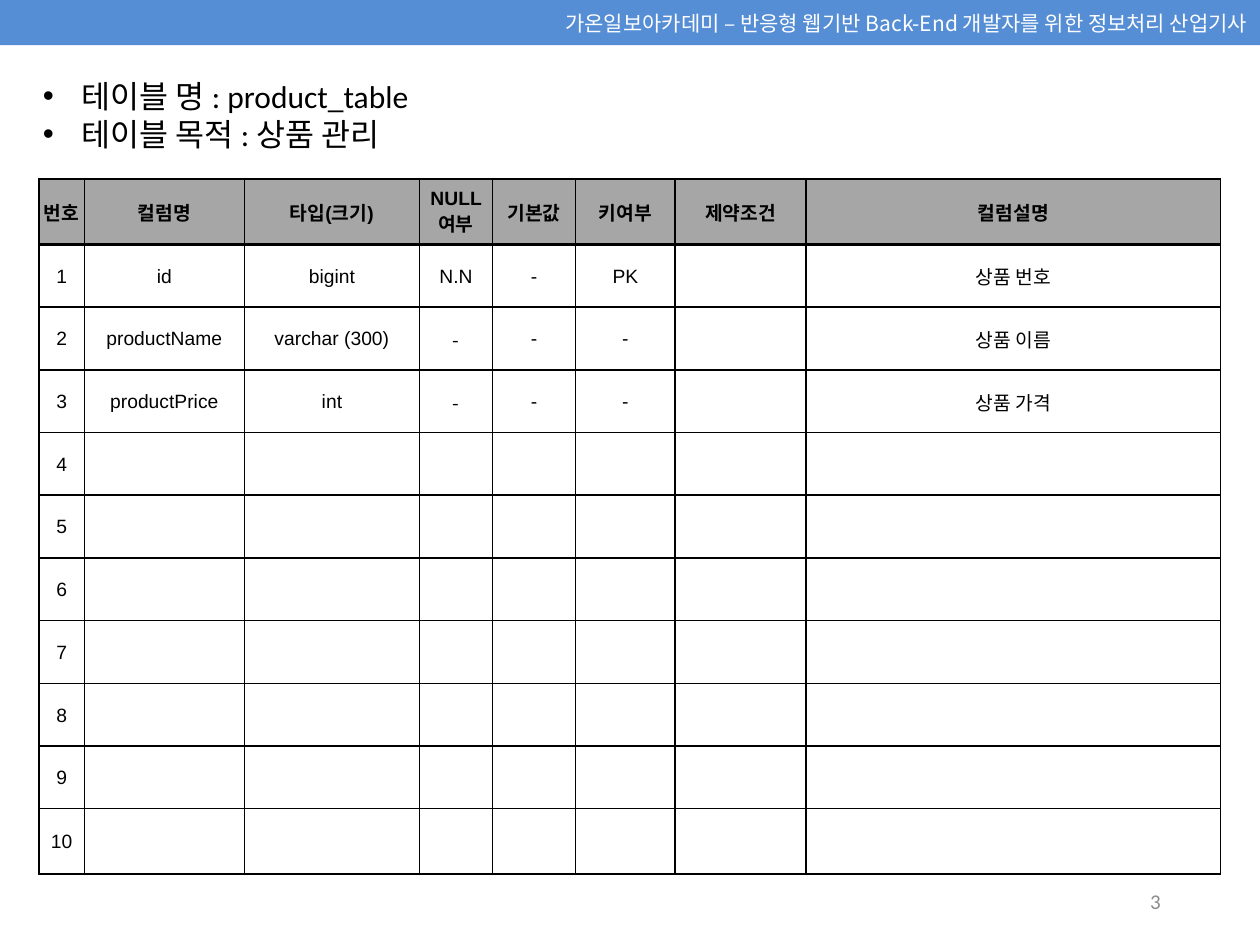
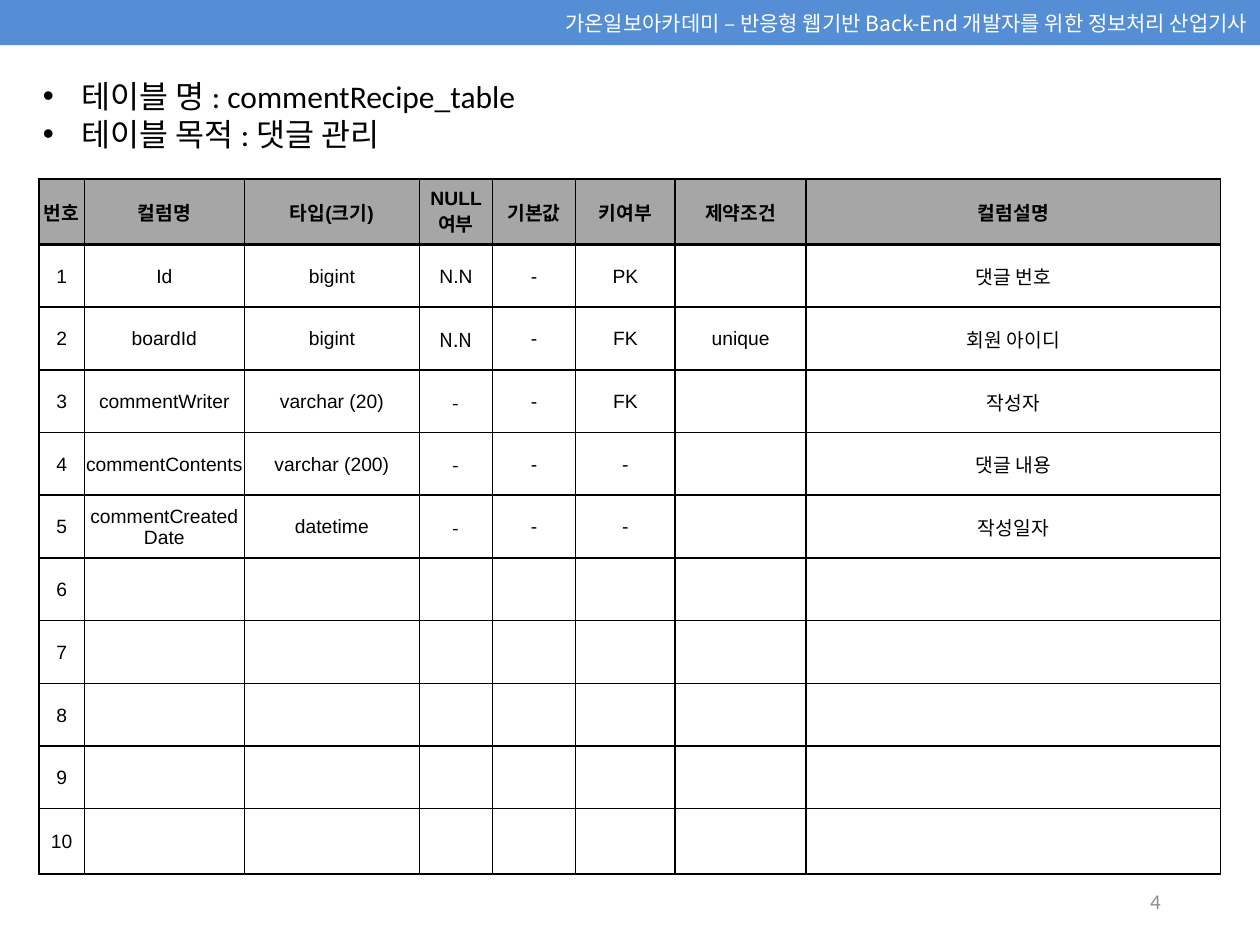
from dataclasses import dataclass

from lxml.etree import SubElement
from pptx import Presentation
from pptx.dml.color import RGBColor
from pptx.enum.shapes import MSO_SHAPE as Shape
from pptx.enum.text import MSO_ANCHOR as Anchor, PP_ALIGN as Align
from pptx.oxml.ns import qn
from pptx.util import Inches, Pt


@dataclass(frozen=True)
class Theme:
    band: str = "558ED5"
    header: str = "A6A6A6"
    ink: str = "000000"
    white: str = "FFFFFF"
    muted: str = "8C8C8C"
    latin: str = "Calibri"
    table: str = "Arial"
    korean: str = "Noto Sans CJK KR"
    list_size: int = 18
    small_size: int = 12
    table_size: int = 11


theme = Theme()


def write(paragraph, text, font, size, color, align=Align.LEFT, bold=False):
    """Put one formatted run in a paragraph, with the Korean font for Hangul."""
    paragraph.alignment = align
    run = paragraph.add_run()
    run.text = text
    for name, value in {"name": font, "size": Pt(size), "bold": bold}.items():
        setattr(run.font, name, value)
    run.font.color.rgb = RGBColor.from_string(color)
    SubElement(run.font._element, qn("a:ea"), typeface=theme.korean)


def add_borders(cell, bottom_width):
    """Draw the four solid edges of a table cell."""
    properties = cell._tc.get_or_add_tcPr()
    for edge, width in {"lnL": 1, "lnR": 1, "lnT": 1, "lnB": bottom_width}.items():
        line = SubElement(properties, qn(f"a:{edge}"), w=str(Pt(width)))
        fill = SubElement(line, qn("a:solidFill"))
        SubElement(fill, qn("a:srgbClr"), val=theme.ink)


# Table definitions, one per slide
headings = ["번호", "컬럼명", "타입(크기)", "NULL 여부", "기본값", "키여부", "제약조건", "컬럼설명"]
column_widths = [0.36, 1.27, 1.39, 0.58, 0.66, 0.79, 1.04, 3.29]
null_column = headings.index("NULL 여부")
row_count = 10
table_height, end_row_height = 5.52, 0.52
row_height = (table_height - 2 * end_row_height) / (row_count - 1)

definitions = [
    ("product_table", "상품 관리", [
        ["id", "bigint", "N.N", "-", "PK", "", "상품 번호"],
        ["productName", "varchar (300)", "-", "-", "-", "", "상품 이름"],
        ["productPrice", "int", "-", "-", "-", "", "상품 가격"],
    ]),
    ("commentRecipe_table", "댓글 관리", [
        ["Id", "bigint", "N.N", "-", "PK", "", "댓글 번호"],
        ["boardId", "bigint", "N.N", "-", "FK", "unique", "회원 아이디"],
        ["commentWriter", "varchar (20)", "-", "-", "FK", "", "작성자"],
        ["commentContents", "varchar (200)", "-", "-", "-", "", "댓글 내용"],
        ["commentCreatedDate", "datetime", "-", "-", "-", "", "작성일자"],
    ]),
]

presentation = Presentation()
presentation.slide_width, presentation.slide_height = Inches(10), Inches(7.5)
layout = presentation.slide_layouts.get_by_name("Title and Content")

for number, (table_name, purpose, fields) in enumerate(definitions, start=3):
    slide = presentation.slides.add_slide(layout)
    title = slide.shapes.title.element
    title.getparent().remove(title)

    # Course band, made once and kept on the shared layout
    if number == 3:
        band = slide.shapes.add_shape(Shape.RECTANGLE, 0, 0, Inches(10), Inches(0.36))
        band.shadow.inherit = False
        band.fill.solid()
        band.fill.fore_color.rgb = RGBColor.from_string(theme.band)
        band.line.fill.background()
        band.text_frame.vertical_anchor = Anchor.MIDDLE
        write(band.text_frame.paragraphs[0],
              "가온일보아카데미 – 반응형 웹기반 Back-End 개발자를 위한 정보처리 산업기사",
              theme.korean, theme.small_size, theme.white, Align.RIGHT)
        layout.shapes.element.append(band.element)

    # Slide number
    number_box = slide.shapes.add_textbox(Inches(7.06), Inches(6.95), Inches(2.25), Inches(0.4))
    number_box.text_frame.word_wrap = True
    number_box.text_frame.vertical_anchor = Anchor.MIDDLE
    write(number_box.text_frame.paragraphs[0], str(number),
          theme.latin, theme.small_size, theme.muted, Align.RIGHT)

    # Table name and purpose
    body = slide.placeholders[1]
    body.left, body.top, body.width, body.height = map(Inches, (0.24, 0.56, 9.49, 0.69))
    frame = body.text_frame
    for index, text in enumerate([f"테이블 명 : {table_name}", f"테이블 목적 : {purpose}"]):
        paragraph = frame.add_paragraph() if index else frame.paragraphs[0]
        write(paragraph, text, theme.latin, theme.list_size, theme.ink)
        paragraph.space_before = Pt(0)
        properties = paragraph._p.get_or_add_pPr()
        properties.set("marL", str(Inches(0.31)))
        properties.set("indent", str(-Inches(0.31)))

    # Column specification
    table = slide.shapes.add_table(row_count + 1, len(headings), Inches(0.31), Inches(1.42),
                                   Inches(9.38), Inches(table_height)).table
    table.first_row = table.horz_banding = False
    for column, width in zip(table.columns, column_widths):
        column.width = Inches(width)
    blank = [""] * (len(headings) - 1)
    rows = [headings]
    for index in range(row_count):
        rows.append([str(index + 1)] + (fields[index] if index < len(fields) else blank))

    for row_index, values in enumerate(rows):
        is_header = row_index == 0
        is_end = row_index in (0, row_count)
        table.rows[row_index].height = Inches(end_row_height if is_end else row_height)
        for column_index, value in enumerate(values):
            cell = table.cell(row_index, column_index)
            cell_format = {"margin_left": Inches(0.01), "margin_right": Inches(0.01),
                           "margin_top": Inches(0.01), "margin_bottom": 0,
                           "vertical_anchor": Anchor.MIDDLE}
            for name, setting in cell_format.items():
                setattr(cell, name, setting)
            add_borders(cell, 2 if is_header else 1)
            if is_header:
                cell.fill.solid()
                cell.fill.fore_color.rgb = RGBColor.from_string(theme.header)
            else:
                cell.fill.background()
            if value:
                korean_face = column_index == null_column and row_index > 1
                write(cell.text_frame.paragraphs[0], value,
                      theme.korean if korean_face else theme.table,
                      theme.table_size, theme.ink, Align.CENTER, is_header)

presentation.save("out.pptx")
